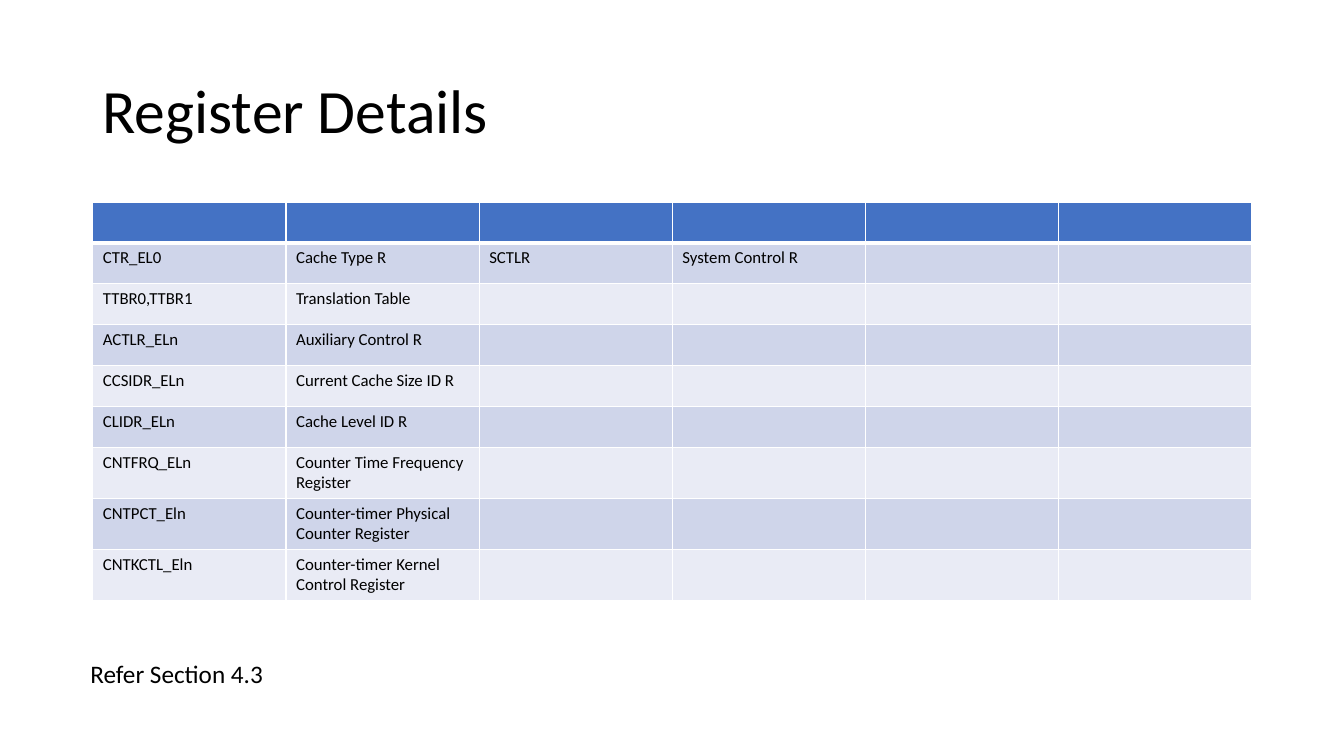
import pptx
import pptx.dml.color
import pptx.enum.text
import pptx.oxml
import pptx.oxml.ns
import pptx.util

Cm = pptx.util.Cm
Pt = pptx.util.Pt
RGBColor = pptx.dml.color.RGBColor

BLACK = RGBColor(0x00, 0x00, 0x00)
WHITE = RGBColor(0xFF, 0xFF, 0xFF)
BLUE = RGBColor(0x44, 0x72, 0xC4)
DARK = RGBColor(0xCF, 0xD5, 0xEA)
LIGHT = RGBColor(0xE9, 0xEB, 0xF5)
FONT = "Calibri"
COLS = 6
ROWS = [
    (),
    ("CTR_EL0", "Cache Type R", "SCTLR", "System Control R"),
    ("TTBR0,TTBR1", "Translation Table"),
    ("ACTLR_ELn", "Auxiliary Control R"),
    ("CCSIDR_ELn", "Current Cache Size ID R"),
    ("CLIDR_ELn", "Cache Level ID R"),
    ("CNTFRQ_ELn", "Counter Time Frequency Register"),
    ("CNTPCT_Eln", "Counter-timer Physical Counter Register"),
    ("CNTKCTL_Eln", "Counter-timer Kernel Control Register"),
]


def add_text(frame, text, size):
    """Add one formatted run to the first paragraph and return the paragraph."""
    para = frame.paragraphs[0]
    run = para.add_run()
    run.text = text
    run.font.name = FONT
    run.font.size = Pt(size)
    run.font.bold = False
    run.font.color.rgb = BLACK
    return para


def add_title(slide, text):
    """Place and fill the title placeholder."""
    title = slide.shapes.title
    title.left, title.top = Cm(2.33), Cm(1.01)
    title.width, title.height = Cm(29.21), Cm(3.68)
    frame = title.text_frame
    frame.vertical_anchor = pptx.enum.text.MSO_ANCHOR.MIDDLE
    para = add_text(frame, text, 44)
    para.alignment = pptx.enum.text.PP_ALIGN.LEFT
    para.line_spacing = 0.9


def set_edge(cell, side, width):
    """Draw one white cell border."""
    space = pptx.oxml.ns.nsdecls("a")
    line = pptx.oxml.parse_xml(
        f'<a:{side} {space} w="{Pt(width)}"><a:solidFill>'
        f'<a:srgbClr val="{WHITE}"/></a:solidFill></a:{side}>'
    )
    cell._tc.get_or_add_tcPr().append(line)


def set_cell(cell, text, row):
    """Give a cell its borders, band colour and text."""
    for side in ("lnL", "lnR", "lnT", "lnB"):
        thick = (row, side) in ((0, "lnB"), (1, "lnT"))
        set_edge(cell, side, 3 if thick else 1)
    cell.fill.solid()
    band = DARK if row % 2 else LIGHT
    cell.fill.fore_color.rgb = band if row else BLUE
    if text:
        add_text(cell.text_frame, text, 12)


def add_grid(slide, rows):
    """Add the register table."""
    height = Cm(1.03)
    frame = slide.shapes.add_table(
        len(rows), COLS, Cm(2.34), Cm(5.09), Cm(29.21), height * len(rows)
    )
    table = frame.table
    for row, texts in enumerate(rows):
        table.rows[row].height = height
        for col in range(COLS):
            text = texts[col] if col < len(texts) else ""
            set_cell(table.cell(row, col), text, row)


def add_note(slide, text):
    """Add the reference line below the table."""
    box = slide.shapes.add_textbox(Cm(2.03), Cm(16.46), Cm(8.15), Cm(1.03))
    frame = box.text_frame
    frame.word_wrap = True
    frame.auto_size = pptx.enum.text.MSO_AUTO_SIZE.SHAPE_TO_FIT_TEXT
    add_text(frame, text, 18)


def main():
    """Build and save the slide."""
    deck = pptx.Presentation()
    deck.slide_width, deck.slide_height = Cm(33.87), Cm(19.05)
    slide = deck.slides.add_slide(deck.slide_layouts.get_by_name("Title Only"))
    add_title(slide, "Register Details")
    add_grid(slide, ROWS)
    add_note(slide, "Refer Section 4.3")
    deck.save("out.pptx")


if __name__ == "__main__":
    main()
